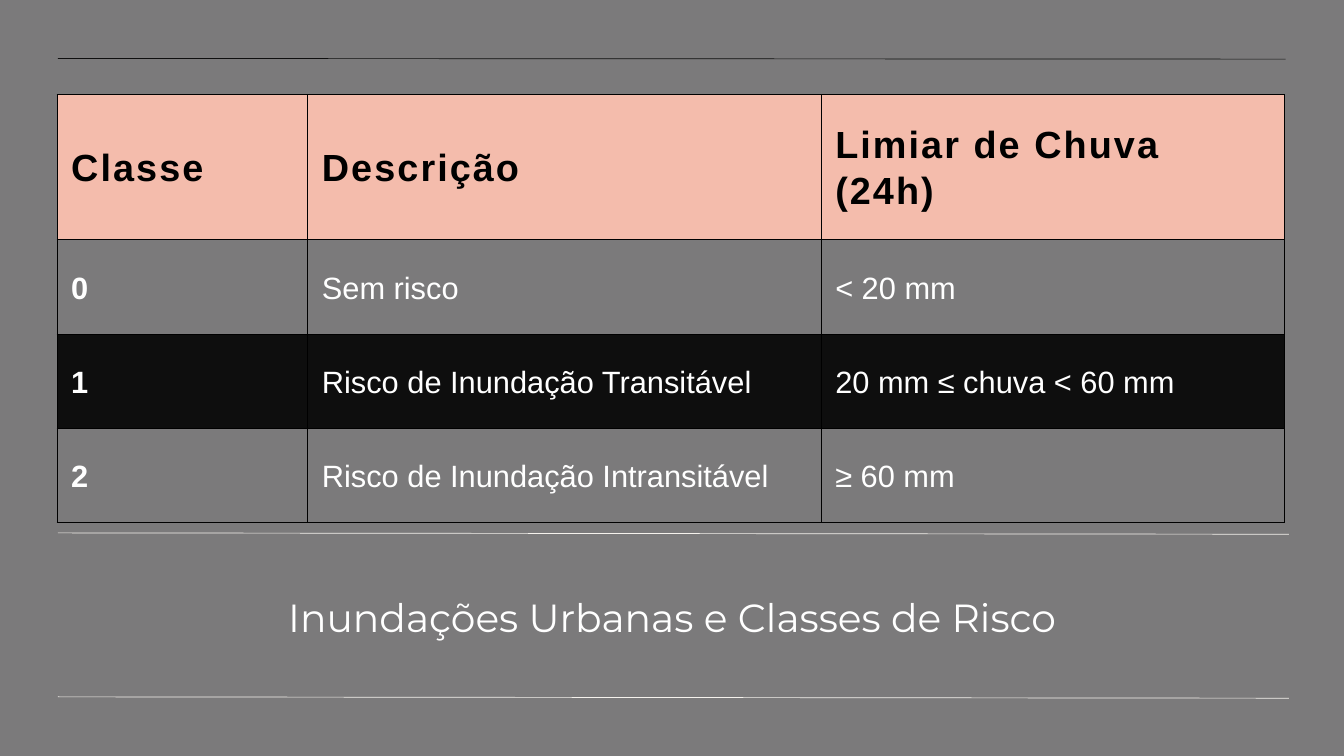
"""Build a slide with a table of urban flood risk classes."""
from dataclasses import dataclass

from lxml.etree import SubElement
from pptx import Presentation
from pptx.dml.color import RGBColor
from pptx.enum.shapes import MSO_CONNECTOR
from pptx.enum.text import MSO_ANCHOR, MSO_AUTO_SIZE, PP_ALIGN
from pptx.oxml.ns import qn
from pptx.util import Inches, Pt


@dataclass(frozen=True)
class Theme:
    background: str = "7B7A7B"
    dark_rule: str = "0F0F0F"
    light_rule: str = "F5F2ED"
    header_fill: str = "F4BCAC"
    highlight_fill: str = "0E0E0E"
    border: str = "000000"
    header_text: str = "000000"
    light_text: str = "FFFFFF"
    title_font: str = "Montserrat"
    table_font: str = "Arial"
    title_size: float = 42
    header_size: float = 40.5
    body_size: float = 33


theme = Theme()


def write_text(text_frame, text, *, font, size, color, line_spacing,
               bold=False, tracking=0, alignment=PP_ALIGN.LEFT):
    paragraph = text_frame.paragraphs[0]
    paragraph.alignment = alignment
    paragraph.line_spacing = Pt(line_spacing)
    run = paragraph.add_run()
    run.text = text
    run.font.name = font
    run.font.size = Pt(size)
    run.font.bold = bold
    run.font.color.rgb = RGBColor.from_string(color)
    run.font._element.set("spc", str(round(tracking * 100)))


def set_borders(cell, top, bottom):
    properties = cell._tc.get_or_add_tcPr()
    for side, width in (("L", 1), ("R", 1), ("T", top), ("B", bottom)):
        line = SubElement(properties, qn(f"a:ln{side}"), w=str(Pt(width)))
        fill = SubElement(line, qn("a:solidFill"))
        SubElement(fill, qn("a:srgbClr"), val=theme.border)


presentation = Presentation()
presentation.slide_width = Inches(20)
presentation.slide_height = Inches(11.25)
slide = presentation.slides.add_slide(presentation.slide_layouts[5])
slide.background.fill.solid()
slide.background.fill.fore_color.rgb = RGBColor.from_string(theme.background)

rules = [
    (0.87, 19.13, 0.88, theme.dark_rule),
    (7.93, 19.18, 7.95, theme.light_rule),
    (10.37, 19.18, 10.39, theme.light_rule),
]
for start_y, end_x, end_y, color in rules:
    rule = slide.shapes.add_connector(
        MSO_CONNECTOR.STRAIGHT, Inches(0.86), Inches(start_y), Inches(end_x), Inches(end_y))
    rule.line.color.rgb = RGBColor.from_string(color)
    rule.line.width = Pt(0.75)
    SubElement(rule._element.spPr, qn("a:effectLst"))

title = slide.shapes.title
title.left, title.top = Inches(0.84), Inches(8.36)
title.width, title.height = Inches(18.32), Inches(1.71)
title_frame = title.text_frame
title_frame.word_wrap = True
title_frame.auto_size = MSO_AUTO_SIZE.NONE
title_frame.vertical_anchor = MSO_ANCHOR.MIDDLE
title_frame.margin_left = title_frame.margin_right = 0
title_frame.margin_top = title_frame.margin_bottom = 0
write_text(title_frame, "Inundações Urbanas e Classes de Risco", font=theme.title_font,
           size=theme.title_size, color=theme.light_text, line_spacing=45.4,
           alignment=PP_ALIGN.CENTER)

risk_classes = [
    ("Classe", "Descrição", "Limiar de Chuva (24h)"),
    ("0", "Sem risco", "< 20 mm"),
    ("1", "Risco de Inundação Transitável", "20 mm ≤ chuva < 60 mm"),
    ("2", "Risco de Inundação Intransitável", "≥ 60 mm"),
]
column_widths = [3.73, 7.64, 6.9]
row_heights = [2.17, 1.41, 1.4, 1.39]
row_fills = [theme.header_fill, None, theme.highlight_fill, None]
border_widths = [0.5, 1.5, 1, 1, 0.5]

table = slide.shapes.add_table(
    len(row_heights), len(column_widths), Inches(0.85), Inches(1.4),
    Inches(sum(column_widths)), Inches(sum(row_heights))).table
table.horz_banding = False
for column, width in zip(table.columns, column_widths):
    column.width = Inches(width)

for row_index, texts in enumerate(risk_classes):
    table.rows[row_index].height = Inches(row_heights[row_index])
    is_header = row_index == 0
    for column_index, text in enumerate(texts):
        cell = table.cell(row_index, column_index)
        cell.vertical_anchor = MSO_ANCHOR.MIDDLE
        cell.margin_left = cell.margin_right = Inches(0.21)
        cell.margin_top = cell.margin_bottom = Inches(0.21)
        set_borders(cell, border_widths[row_index], border_widths[row_index + 1])
        if row_fills[row_index]:
            cell.fill.solid()
            cell.fill.fore_color.rgb = RGBColor.from_string(row_fills[row_index])
        else:
            cell.fill.background()
        write_text(cell.text_frame, text, font=theme.table_font,
                   size=theme.header_size if is_header else theme.body_size,
                   color=theme.header_text if is_header else theme.light_text,
                   line_spacing=48.6 if is_header else 39.6,
                   bold=is_header or column_index == 0,
                   tracking=2.2 if is_header else 0)

presentation.save("out.pptx")
